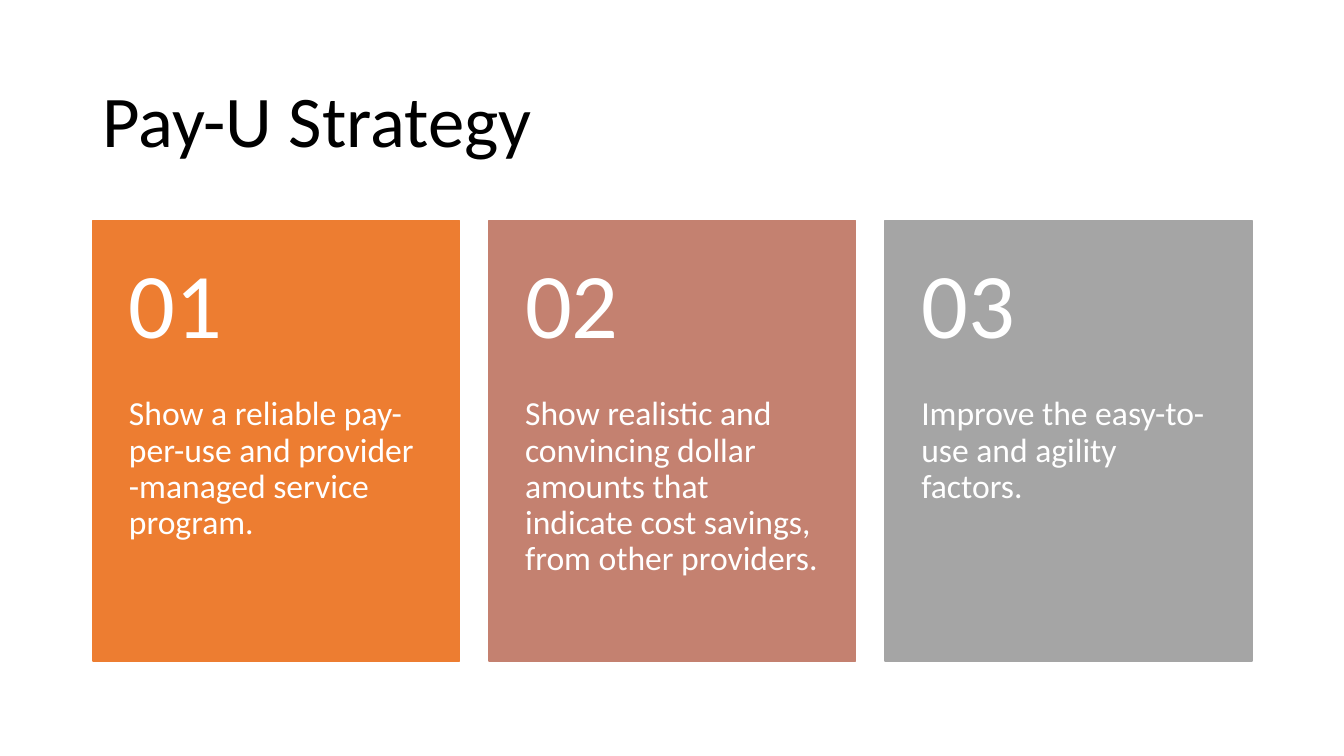
from pptx import Presentation
from pptx.dml.color import RGBColor
from pptx.enum.shapes import MSO_SHAPE
from pptx.enum.text import MSO_ANCHOR, MSO_AUTO_SIZE, PP_ALIGN
from pptx.util import Cm, Pt

TITLE = "Pay-U Strategy"
CARDS = [
    ("01", "Show a reliable pay-per-use and provider -managed service program.", "orange"),
    ("02", "Show realistic and convincing dollar amounts that indicate cost savings, "
           "from other providers.", "rose"),
    ("03", "Improve the easy-to-use and agility factors.", "gray"),
]
COLORS = {"orange": "ED7D31", "rose": "C48170", "gray": "A5A5A5",
          "white": "FFFFFF", "black": "000000"}
FONT = "Calibri"

LEFT, WIDTH = 2.34, 29.21
TOP, HEIGHT, HEAD = 5.56, 11.1, 4.44
GAP = 0.74
CARD = (WIDTH - GAP * (len(CARDS) - 1)) / len(CARDS)
PAD = 0.91


def color(name):
    return RGBColor.from_string(COLORS[name])


def write(shape, text, size, tint="white", anchor=MSO_ANCHOR.MIDDLE,
          pads=(0.25, 0.13, 0.25, 0.13), after=0):
    frame = shape.text_frame
    frame.word_wrap = True
    frame.auto_size = MSO_AUTO_SIZE.NONE
    frame.vertical_anchor = anchor
    frame.margin_left, frame.margin_top, frame.margin_right, frame.margin_bottom = map(Cm, pads)
    para = frame.paragraphs[0]
    para.text = text
    para.alignment = PP_ALIGN.LEFT
    para.line_spacing = 0.9
    para.space_after = Pt(after)
    font = para.font
    font.name, font.size = FONT, Pt(size)
    font.color.rgb = color(tint)


def main():
    deck = Presentation()
    deck.slide_width, deck.slide_height = Cm(33.87), Cm(19.05)
    slide = deck.slides.add_slide(deck.slide_layouts[5])
    shapes = slide.shapes

    title = shapes.title
    title.left, title.top, title.width, title.height = map(Cm, (LEFT, 1.55, WIDTH, 3.15))
    write(title, TITLE, 52, tint="black")

    for i, (number, text, tint) in enumerate(CARDS):
        left = LEFT + i * (CARD + GAP)
        card = shapes.add_shape(MSO_SHAPE.RECTANGLE, *map(Cm, (left, TOP, CARD, HEIGHT)))
        card.shadow.inherit = False
        card.fill.solid()
        card.fill.fore_color.rgb = color(tint)
        card.line.color.rgb = color(tint)
        card.line.width = Pt(1)

        body = shapes.add_textbox(*map(Cm, (left, TOP + HEAD, CARD, HEIGHT - HEAD)))
        write(body, text, 24, anchor=MSO_ANCHOR.TOP, pads=(PAD, 0, PAD, PAD), after=8.4)
        head = shapes.add_textbox(*map(Cm, (left, TOP, CARD, HEAD)))
        write(head, number, 66, pads=(PAD, PAD / 2, PAD, PAD / 2), after=23.1)

    deck.save("out.pptx")


if __name__ == "__main__":
    main()
